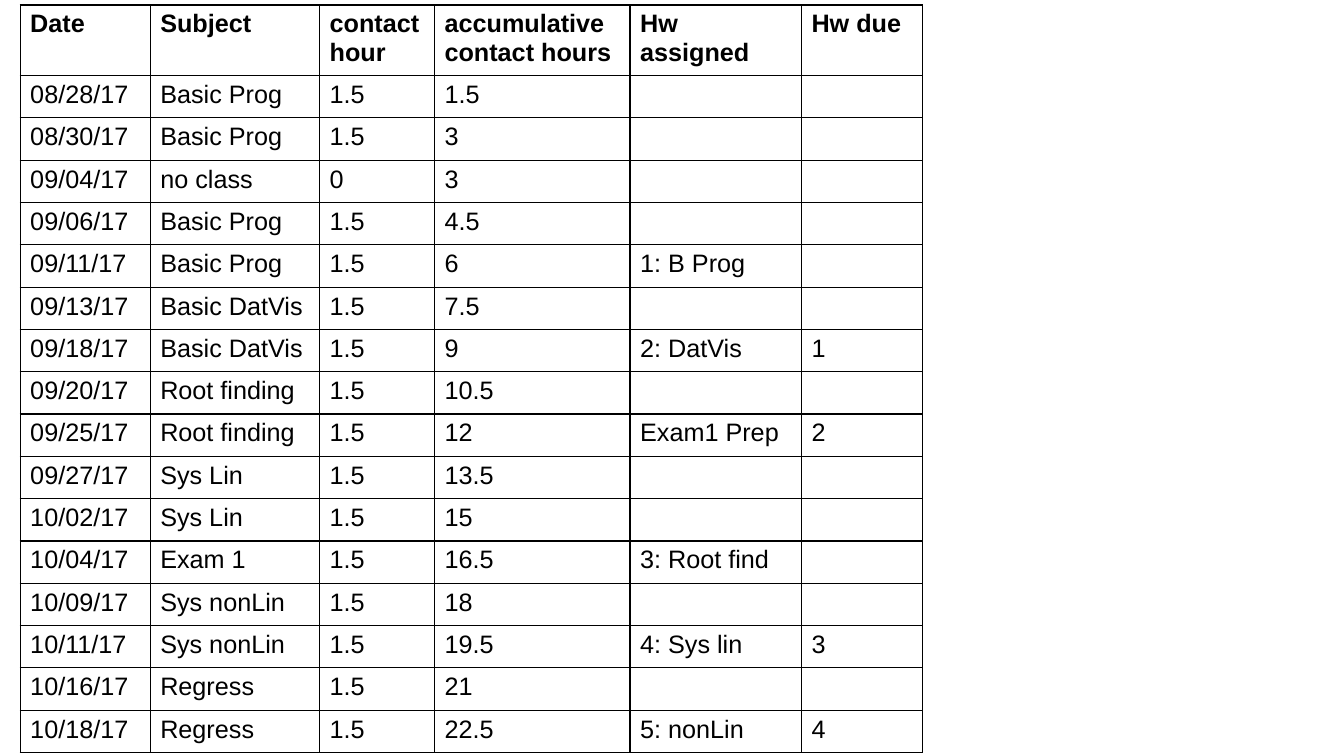
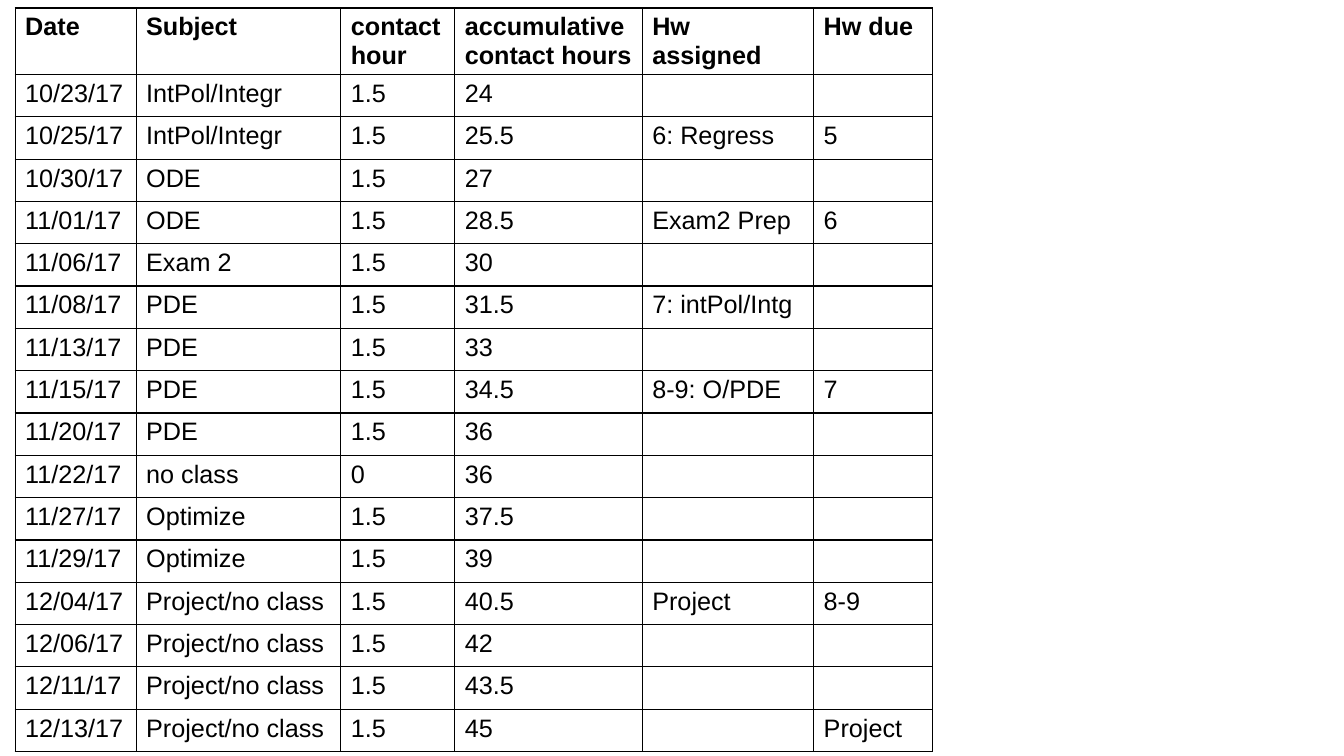
from itertools import accumulate

from lxml import etree
from pptx import Presentation
from pptx.dml.color import RGBColor
from pptx.oxml import ns
from pptx.util import Inches, Pt

FONT, TEXT_SIZE = "Arial", Pt(18)
INK = "000000"
BORDER = Pt(0.96)
ROW_HEIGHT = 0.42
HEADINGS = ("Date", "Subject", "contact hour", "accumulative contact hours",
            "Hw assigned", "Hw due")

# Each meeting: date, subject, contact hours, homework assigned, homework due
FIRST_HALF = [
    ("08/28/17", "Basic Prog", 1.5, "", ""),
    ("08/30/17", "Basic Prog", 1.5, "", ""),
    ("09/04/17", "no class", 0, "", ""),
    ("09/06/17", "Basic Prog", 1.5, "", ""),
    ("09/11/17", "Basic Prog", 1.5, "1: B Prog", ""),
    ("09/13/17", "Basic DatVis", 1.5, "", ""),
    ("09/18/17", "Basic DatVis", 1.5, "2: DatVis", "1"),
    ("09/20/17", "Root finding", 1.5, "", ""),
    ("09/25/17", "Root finding", 1.5, "Exam1 Prep", "2"),
    ("09/27/17", "Sys Lin", 1.5, "", ""),
    ("10/02/17", "Sys Lin", 1.5, "", ""),
    ("10/04/17", "Exam 1", 1.5, "3: Root find", ""),
    ("10/09/17", "Sys nonLin", 1.5, "", ""),
    ("10/11/17", "Sys nonLin", 1.5, "4: Sys lin", "3"),
    ("10/16/17", "Regress", 1.5, "", ""),
    ("10/18/17", "Regress", 1.5, "5: nonLin", "4"),
]
SECOND_HALF = [
    ("10/23/17", "IntPol/Integr", 1.5, "", ""),
    ("10/25/17", "IntPol/Integr", 1.5, "6: Regress", "5"),
    ("10/30/17", "ODE", 1.5, "", ""),
    ("11/01/17", "ODE", 1.5, "Exam2 Prep", "6"),
    ("11/06/17", "Exam 2", 1.5, "", ""),
    ("11/08/17", "PDE", 1.5, "7: intPol/Intg", ""),
    ("11/13/17", "PDE", 1.5, "", ""),
    ("11/15/17", "PDE", 1.5, "8-9: O/PDE", "7"),
    ("11/20/17", "PDE", 1.5, "", ""),
    ("11/22/17", "no class", 0, "", ""),
    ("11/27/17", "Optimize", 1.5, "", ""),
    ("11/29/17", "Optimize", 1.5, "", ""),
    ("12/04/17", "Project/no class", 1.5, "Project", "8-9"),
    ("12/06/17", "Project/no class", 1.5, "", ""),
    ("12/11/17", "Project/no class", 1.5, "", ""),
    ("12/13/17", "Project/no class", 1.5, "", "Project"),
]
SCHEDULES = [
    {"meetings": FIRST_HALF, "corner": (0.2, 0.05), "heading_height": 0.7,
     "widths": (1.29, 1.68, 1.14, 1.94, 1.7, 1.2)},
    {"meetings": SECOND_HALF, "corner": (0.15, 0.08), "heading_height": 0.66,
     "widths": (1.2, 2.03, 1.13, 1.86, 1.7, 1.18)},
]


def add_borders(cell, color):
    properties = cell._tc.get_or_add_tcPr()
    for position, side in enumerate(("lnL", "lnR", "lnT", "lnB")):
        line = etree.Element(ns.qn(f"a:{side}"), w=str(BORDER))
        fill = etree.SubElement(line, ns.qn("a:solidFill"))
        etree.SubElement(fill, ns.qn("a:srgbClr"), val=color)
        properties.insert(position, line)


def fill_cell(cell, content, bold):
    cell.text = content
    cell.margin_bottom = Inches(0.02)
    cell.fill.background()
    add_borders(cell, INK)
    font = cell.text_frame.paragraphs[0].font
    font.name, font.size, font.bold = FONT, TEXT_SIZE, bold
    font.color.rgb = RGBColor.from_string(INK)


def add_schedule(slide, schedule, hours_before):
    """Draw one schedule table and return the contact hours reached."""
    meetings, widths = schedule["meetings"], schedule["widths"]
    totals = list(accumulate((m[2] for m in meetings), initial=hours_before))[1:]
    rows = [HEADINGS] + [
        (date, subject, f"{hours:g}", f"{total:g}", assigned, due)
        for (date, subject, hours, assigned, due), total in zip(meetings, totals)]
    heights = [schedule["heading_height"]] + [ROW_HEIGHT] * len(meetings)

    left, top = schedule["corner"]
    table = slide.shapes.add_table(
        len(rows), len(widths), Inches(left), Inches(top),
        Inches(sum(widths)), Inches(sum(heights))).table
    table.first_row = table.horz_banding = False
    for column, width in zip(table.columns, widths):
        column.width = Inches(width)
    for r, (row, height) in enumerate(zip(rows, heights)):
        table.rows[r].height = Inches(height)
        for c, content in enumerate(row):
            fill_cell(table.cell(r, c), content, bold=r == 0)
    return totals[-1]


def main():
    deck = Presentation()
    deck.slide_width, deck.slide_height = Inches(13.33), Inches(7.5)
    blank = deck.slide_layouts[6]
    hours = 0
    for schedule in SCHEDULES:
        hours = add_schedule(deck.slides.add_slide(blank), schedule, hours)
    deck.save("out.pptx")


if __name__ == "__main__":
    main()
